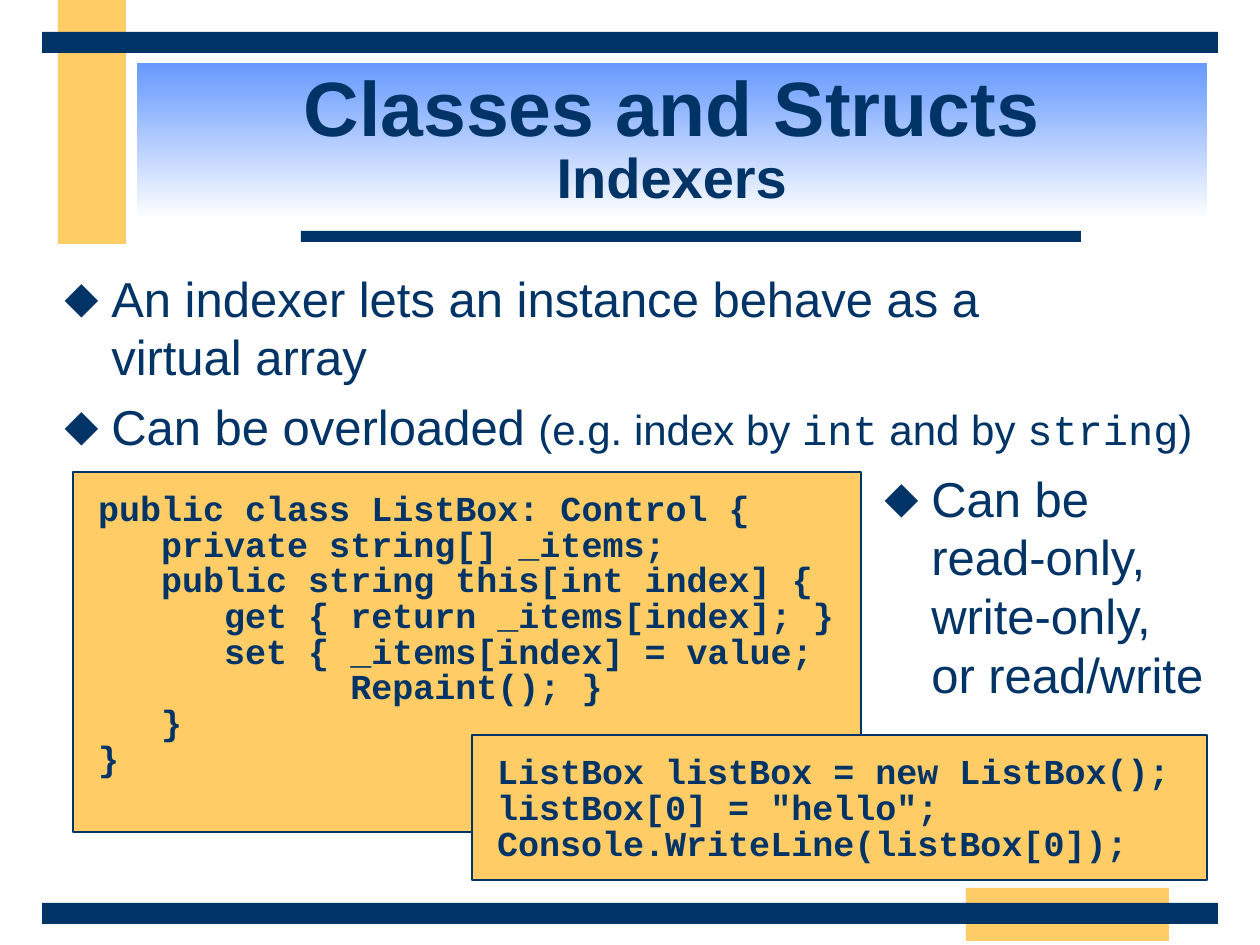
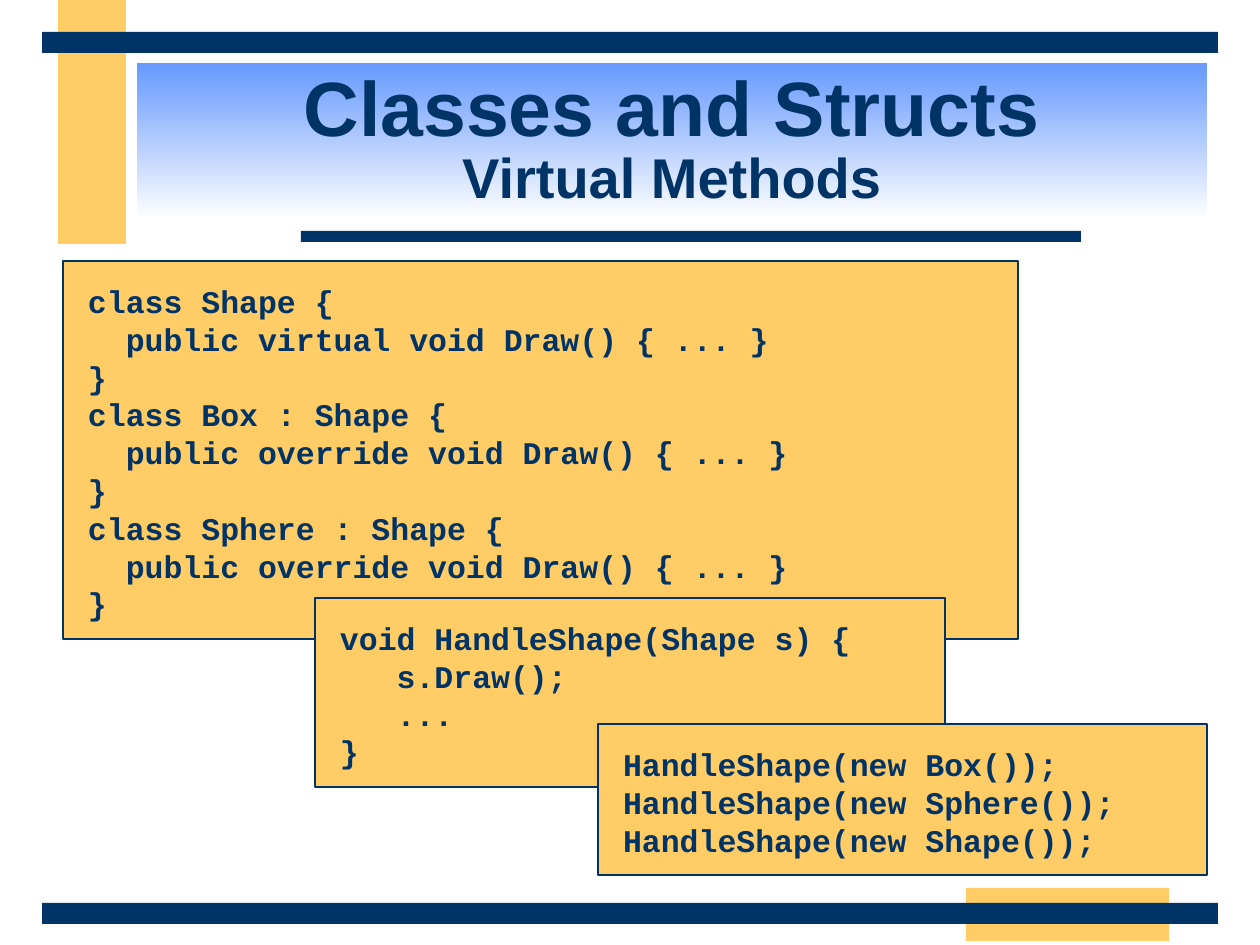
from lxml import etree
from pptx import Presentation
from pptx.dml.color import RGBColor
from pptx.enum.shapes import MSO_SHAPE
from pptx.enum.text import MSO_ANCHOR, PP_ALIGN
from pptx.oxml.ns import qn
from pptx.util import Pt

RECT = MSO_SHAPE.RECTANGLE
TOP, MIDDLE = MSO_ANCHOR.TOP, MSO_ANCHOR.MIDDLE
LEFT, CENTER = PP_ALIGN.LEFT, PP_ALIGN.CENTER
PX = 914400 / 126
NAVY, GOLD, BLUE, WHITE = "003366", "FFCC66", "6699FF", "FFFFFF"
SANS, MONO = "Arial", "Courier New"
color = RGBColor.from_string

BARS = [
    ((58, 0, 68, 244), GOLD),
    ((966, 888, 203, 53), GOLD),
    ((301, 231, 780, 11), NAVY),
    ((42, 903, 1176, 21), NAVY),
    ((42, 32, 1176, 21), NAVY),
]

LISTBOX = """public class ListBox: Control {
   private string[] _items;
   public string this[int index] {
      get { return _items[index]; }
      set { _items[index] = value;
            Repaint(); }
   }
}"""
USAGE = """ListBox listBox = new ListBox();
listBox[0] = "hello";
Console.WriteLine(listBox[0]);"""
SHAPES = """class Shape {
  public virtual void Draw() { ... }
}
class Box : Shape {
  public override void Draw() { ... }
}
class Sphere : Shape {
  public override void Draw() { ... }
}"""
HANDLER = """void HandleShape(Shape s) {
   s.Draw();
   ...
}"""
CALLS = """HandleShape(new Box());
HandleShape(new Sphere());
HandleShape(new Shape());"""

POINTS = [
    ((52, 262, 1197, 620), [
        [("An indexer lets an instance behave as a\nvirtual array", 28, SANS)],
        [("Can be overloaded ", 28, SANS), ("(e.g. index by ", 24, SANS),
         ("int", 24, MONO), (" and by ", 24, SANS), ("string", 24, MONO),
         (")", 24, SANS)],
    ]),
    ((872, 462, 368, 252), [
        [("Can be\nread-only, write-only,\nor read/write", 28, SANS)],
    ]),
]

SLIDES = [
    ("Indexers", 20, 1.02, [
        ((73, 472, 788, 360), LISTBOX),
        ((472, 735, 735, 145), USAGE),
    ], POINTS),
    ("Virtual Methods", 18, 1.2, [
        ((63, 261, 955, 378), SHAPES),
        ((315, 598, 630, 189), HANDLER),
        ((598, 724, 609, 151), CALLS),
    ], []),
]


def box(slide, rect, fill):
    shape = slide.shapes.add_shape(RECT, *[round(n * PX) for n in rect])
    shape.shadow.inherit = False
    shape.line.fill.background()
    shape.fill.solid()
    shape.fill.fore_color.rgb = color(fill)
    return shape


def write(par, text, size, face, bold):
    for n, part in enumerate(text.split("\n")):
        if n:
            par.add_line_break()
        run = par.add_run()
        run.text = part
        run.font.size = Pt(size)
        run.font.name = face
        run.font.bold = bold
        run.font.color.rgb = color(NAVY)


deck = Presentation()
deck.slide_width = round(1260 * PX)
deck.slide_height = round(945 * PX)

for topic, size, pitch, codes, points in SLIDES:
    slide = deck.slides.add_slide(deck.slide_layouts[6])
    for rect, fill in BARS:
        box(slide, rect, fill)

    for rect, code in codes:
        panel = box(slide, rect, GOLD)
        panel.line.color.rgb = color(NAVY)
        panel.line.width = Pt(1)
        frame = panel.text_frame
        frame.word_wrap = True
        frame.vertical_anchor = TOP
        frame.margin_left = frame.margin_right = round(25 * PX)
        frame.margin_top = round(21 * PX)
        frame.margin_bottom = 0
        for n, line in enumerate(code.split("\n")):
            par = frame.add_paragraph() if n else frame.paragraphs[0]
            par.alignment = LEFT
            par.line_spacing = Pt(size * pitch)
            write(par, line, size, MONO, True)

    title = box(slide, (137, 63, 1070, 157), WHITE)
    title.fill.gradient()
    title.fill.gradient_angle = 270
    for stop, tint, spot in zip(title.fill.gradient_stops, (BLUE, WHITE), (0, 1)):
        stop.color.rgb = color(tint)
        stop.position = spot
    frame = title.text_frame
    frame.word_wrap = True
    frame.vertical_anchor = MIDDLE
    for n, (text, big) in enumerate([("Classes and Structs", 44), (topic, 32)]):
        par = frame.add_paragraph() if n else frame.paragraphs[0]
        par.alignment = CENTER
        par.line_spacing = Pt(big * 1.02)
        write(par, text, big, SANS, True)

    for rect, items in points:
        frame = slide.shapes.add_textbox(*[round(n * PX) for n in rect]).text_frame
        frame.word_wrap = True
        for n, runs in enumerate(items):
            par = frame.add_paragraph() if n else frame.paragraphs[0]
            props = par._p.get_or_add_pPr()
            props.set("marL", str(round(47 * PX)))
            props.set("indent", str(round(-47 * PX)))
            tint = etree.SubElement(props, qn("a:buClr"))
            etree.SubElement(tint, qn("a:srgbClr"), val=NAVY)
            etree.SubElement(props, qn("a:buFont"), typeface=SANS)
            etree.SubElement(props, qn("a:buChar"), char="⬥")
            par.line_spacing = Pt(28 * 1.2)
            if n:
                par.space_before = Pt(6)
            for text, big, face in runs:
                write(par, text, big, face, False)

deck.save("out.pptx")
